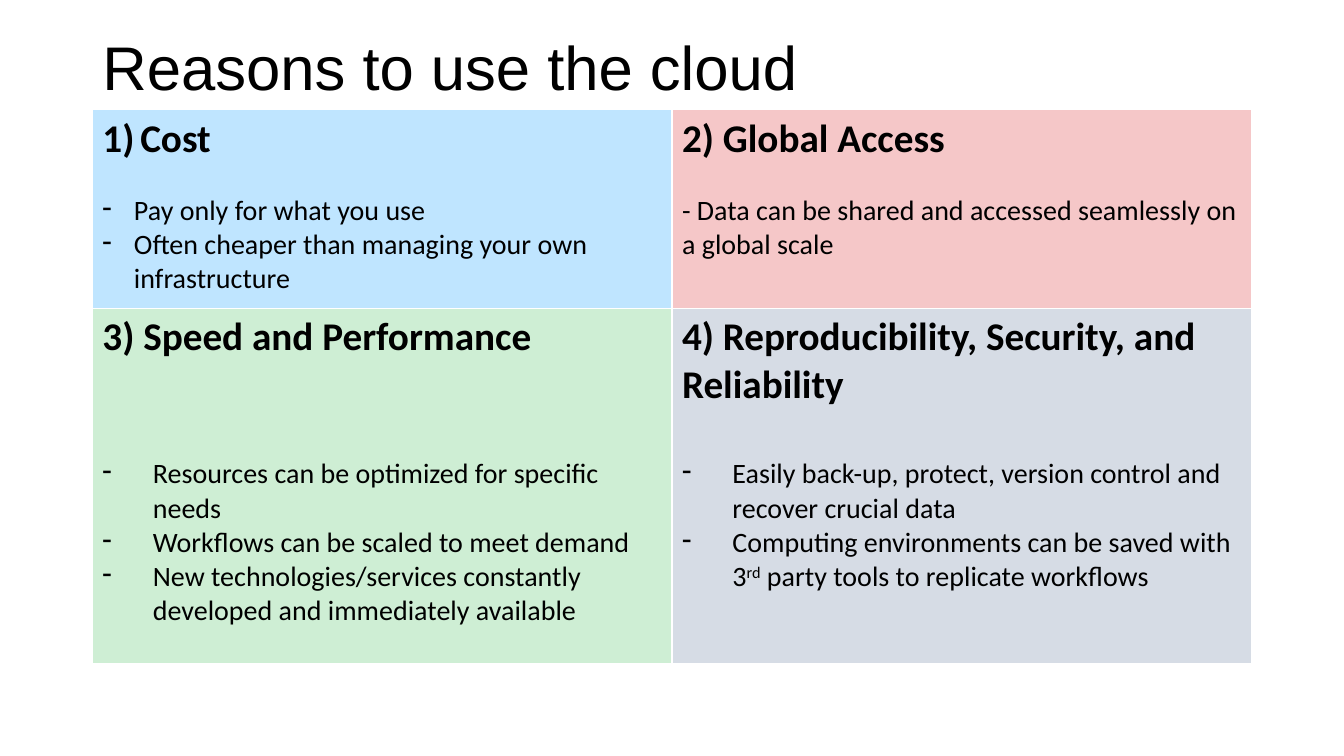
from lxml.etree import SubElement
from pptx import Presentation
from pptx.dml.color import RGBColor
from pptx.enum.text import MSO_ANCHOR, PP_ALIGN
from pptx.oxml.ns import qn
from pptx.util import Pt

COLORS = {
    "text": "000000",
    "cost": "BFE5FF",
    "access": "F5C7C8",
    "speed": "CEEED4",
    "trust": "D6DCE5",
}
LEFT, WIDTH = 66, 828
ROWS = (141.8, 253.5)

CARDS = [
    [
        ("cost", "Cost", "1)", 22, 22.5, [
            ["Pay only for what you use"],
            ["Often cheaper than managing your own infrastructure"],
        ]),
        ("access", "2) Global Access", None, 22, 0, [
            ["- Data can be shared and accessed seamlessly on a global scale"],
        ]),
    ],
    [
        ("speed", "3) Speed and Performance", None, 68.4, 36, [
            ["Resources can be optimized for specific needs"],
            ["Workflows can be scaled to meet demand"],
            ["New technologies/services constantly developed and immediately available"],
        ]),
        ("trust", "4) Reproducibility, Security, and Reliability", None, 34.2, 36, [
            ["Easily back-up, protect, version control and recover crucial data"],
            ["Computing environments can be saved with 3", "rd",
             " party tools to replicate workflows"],
        ]),
    ],
]


def color(name):
    return RGBColor.from_string(COLORS[name])


def style(para, size, face="Calibri", bold=False):
    font = para.font
    font.name, font.size, font.bold = face, Pt(size), bold
    font.color.rgb = color("text")


def bullet(para, indent, tag, **attrs):
    props = para._p.get_or_add_pPr()
    props.set("marL", str(Pt(indent)))
    props.set("indent", str(-Pt(indent)))
    SubElement(props, qn(tag), attrs)


def add_title(slide, text):
    title = slide.shapes.title
    title.left, title.top = Pt(LEFT), Pt(18)
    title.width, title.height = Pt(WIDTH), Pt(65.5)
    frame = title.text_frame
    frame.text = text
    frame.vertical_anchor = MSO_ANCHOR.MIDDLE
    para = frame.paragraphs[0]
    para.alignment = PP_ALIGN.LEFT
    para.line_spacing = 0.9
    style(para, 44, "Arial")


def fill_card(cell, fill, head, number, gap, indent, points):
    cell.fill.solid()
    cell.fill.fore_color.rgb = color(fill)
    frame = cell.text_frame
    para = frame.paragraphs[0]
    para.add_run().text = head
    if number:
        bullet(para, 27, "a:buAutoNum", type="arabicParenR")
    style(para, 28, bold=True)
    for order, parts in enumerate(points):
        para = frame.add_paragraph()
        for part in parts:
            run = para.add_run()
            run.text = part
            if part == "rd":
                run._r.get_or_add_rPr().set("baseline", "30000")
        if indent:
            bullet(para, indent, "a:buChar", char="-")
        para.space_before = Pt(0 if order else gap)
        style(para, 20)


def add_cards(slide):
    frame = slide.shapes.add_table(
        2, 2, Pt(LEFT), Pt(78.5), Pt(WIDTH), Pt(sum(ROWS)))
    table = frame.table
    table.first_row = table.horz_banding = False
    for row, (height, cards) in enumerate(zip(ROWS, CARDS)):
        table.rows[row].height = Pt(height)
        for col, card in enumerate(cards):
            fill_card(table.cell(row, col), *card)


def main():
    deck = Presentation()
    deck.slide_width, deck.slide_height = Pt(960), Pt(540)
    slide = deck.slides.add_slide(deck.slide_layouts[5])
    add_title(slide, "Reasons to use the cloud")
    add_cards(slide)
    deck.save("out.pptx")


if __name__ == "__main__":
    main()
